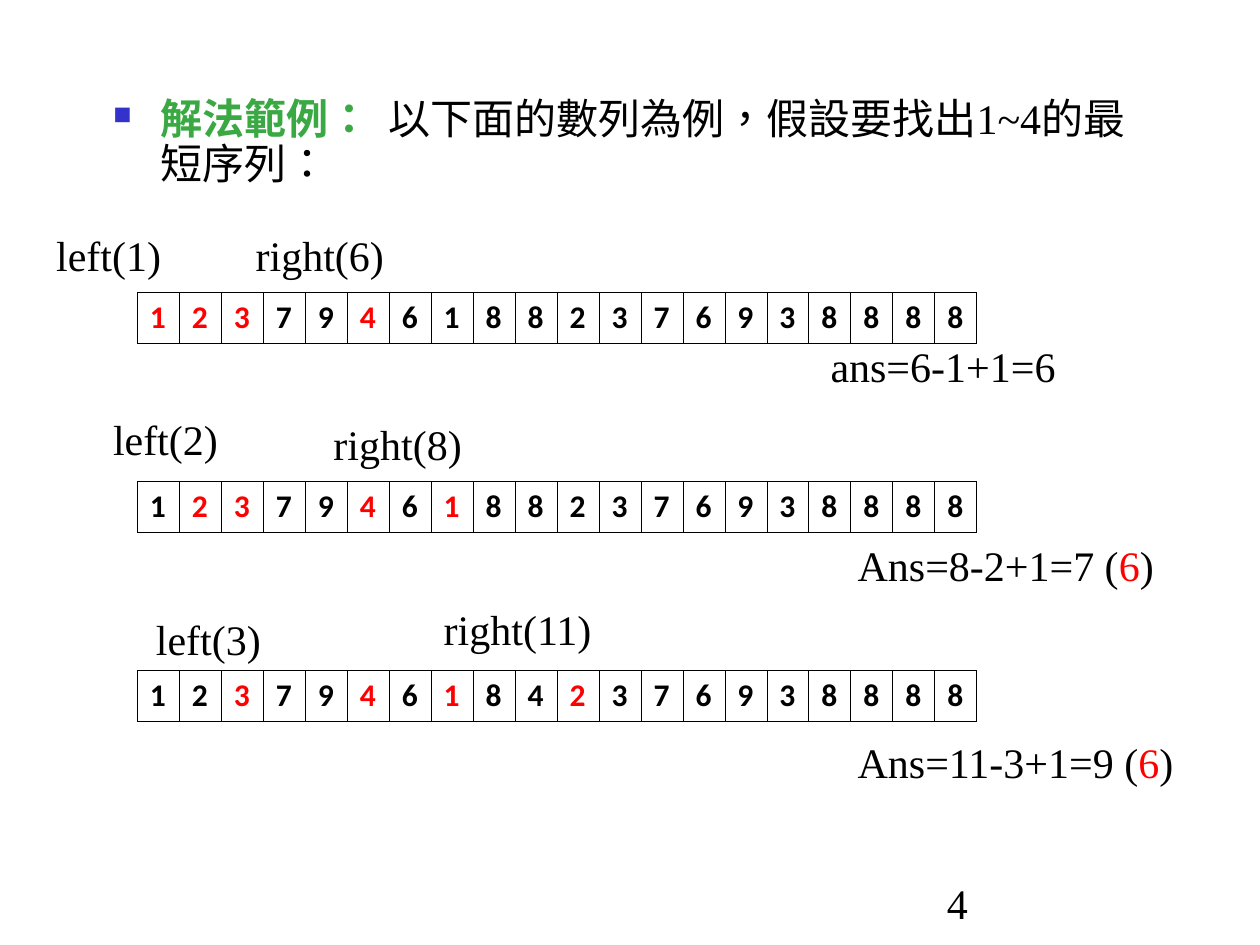
from dataclasses import dataclass

from lxml import etree
from pptx import Presentation, util as u
from pptx.dml.color import RGBColor as Rgb
from pptx.enum import text as t
from pptx.oxml.ns import qn

Pt = u.Pt


@dataclass(frozen=True)
class Theme:
    ink: str = "000000"
    red: str = "FF0000"
    green: str = "3BA943"
    blue: str = "3333CC"
    paper: str = "FFFFFF"
    serif: str = "Times New Roman"
    sans: str = "Calibri"
    body: int = 24
    digit: int = 18
    rule: float = 0.45


TH = Theme()
LEFT, TOP, STEP = 78.5, 167, 108  # place of the first table, step to the next
CELL_W, CELL_H = 24, 29.5


@dataclass(frozen=True)
class Run:
    text: str
    color: str = TH.ink
    bold: bool = False
    size: int = TH.body
    font: str = TH.serif


@dataclass(frozen=True)
class Label:
    x: float
    y: float
    w: float
    runs: tuple[Run, ...]


@dataclass(frozen=True)
class Row:
    digits: str
    hits: tuple[int, ...]  # positions in red, counted from 1


def put(item, **vals) -> None:
    for key, val in vals.items():
        setattr(item, key, val)


def write(para, runs: tuple[Run, ...]) -> None:
    for run in runs:
        part = para.add_run()
        part.text = run.text
        put(part.font, name=run.font, size=Pt(run.size), bold=run.bold)
        part.font.color.rgb = Rgb.from_string(run.color)


def add_box(slide, x: float, y: float, w: float, h: float, **frame):
    box = slide.shapes.add_textbox(Pt(x), Pt(y), Pt(w), Pt(h))
    put(box.text_frame, **frame)
    return box.text_frame.paragraphs[0]


def add_label(slide, tag: Label) -> None:
    para = add_box(slide, tag.x, tag.y, tag.w, 36, word_wrap=False,
                   auto_size=t.MSO_AUTO_SIZE.SHAPE_TO_FIT_TEXT)
    write(para, tag.runs)


def add_lead(slide) -> None:
    para = add_box(slide, 50.5, 52.5, 615.5, 430, word_wrap=True)
    para.line_spacing = 0.9
    # Square bullet with a hanging indent
    props = para._p.get_or_add_pPr()
    for key, val in {"marL": 34, "indent": -27}.items():
        props.set(key, str(int(Pt(val))))
    tint = etree.SubElement(props, qn("a:buClr"))
    etree.SubElement(tint, qn("a:srgbClr"), val=TH.blue)
    etree.SubElement(props, qn("a:buSzPct"), val="60000")
    etree.SubElement(props, qn("a:buChar"), char="■")
    write(para, (Run("解法範例：", TH.green, True), Run(" ", TH.green, True),
                 Run("以下面的數列為例，假設要找出1~4的最短序列：")))
    # Traditional Chinese punctuation, and a wider gap after the heading
    for run in para.runs:
        run.font._element.set("lang", "zh-TW")
    para.runs[1].font._element.set("spc", "500")


def edge(cell) -> None:
    props = cell._tc.get_or_add_tcPr()
    for side in ("lnL", "lnR", "lnT", "lnB"):
        line = etree.SubElement(props, qn(f"a:{side}"), w=str(int(Pt(TH.rule))))
        fill = etree.SubElement(line, qn("a:solidFill"))
        etree.SubElement(fill, qn("a:srgbClr"), val=TH.ink)


def add_row(slide, row: Row, y: float) -> None:
    count = len(row.digits)
    table = slide.shapes.add_table(1, count, Pt(LEFT), Pt(y),
                                   Pt(CELL_W * count), Pt(CELL_H)).table
    put(table, first_row=False, horz_banding=False)
    for num, digit in enumerate(row.digits, 1):
        table.columns[num - 1].width = Pt(CELL_W)
        cell = table.cell(0, num - 1)
        edge(cell)
        cell.fill.solid()
        cell.fill.fore_color.rgb = Rgb.from_string(TH.paper)
        color = TH.red if num in row.hits else TH.ink
        write(cell.text_frame.paragraphs[0],
              (Run(digit, color, True, TH.digit, TH.sans),))


def best(text: str) -> tuple[Run, ...]:
    return Run(f"{text} ("), Run("6", TH.red), Run(")")


LABELS = (
    Label(25, 127.5, 76, (Run("left(1)"),)),
    Label(139, 127.5, 89, (Run("right(6)"),)),
    Label(467.5, 191, 145, (Run("ans=6-1+1=6"),)),
    Label(57.5, 233, 76, (Run("left(2)"),)),
    Label(183.5, 235.5, 89, (Run("right(8)"),)),
    Label(483, 304.5, 185, best("Ans=8-2+1=7")),
    Label(82, 347, 76, (Run("left(3)"),)),
    Label(246.5, 341.5, 102, (Run("right(11)"),)),
    Label(483, 417.5, 198, best("Ans=11-3+1=9")),
)
ROWS = (
    Row("12379461882376938888", (1, 2, 3, 6)),
    Row("12379461882376938888", (2, 3, 6, 8)),
    Row("12379461842376938888", (3, 6, 8, 11)),
)


def main() -> None:
    deck = Presentation()
    put(deck, slide_width=Pt(720), slide_height=Pt(540))
    slide = deck.slides.add_slide(deck.slide_layouts[6])
    # Page number
    page = add_box(slide, 534, 497.5, 150, 36, word_wrap=True,
                   vertical_anchor=t.MSO_ANCHOR.BOTTOM)
    write(page, (Run("4"),))
    # Lead text, pointer labels and number rows
    add_lead(slide)
    for tag in LABELS:
        add_label(slide, tag)
    for pos, row in enumerate(ROWS):
        add_row(slide, row, TOP + STEP * pos)
    deck.save("out.pptx")


if __name__ == "__main__":
    main()
